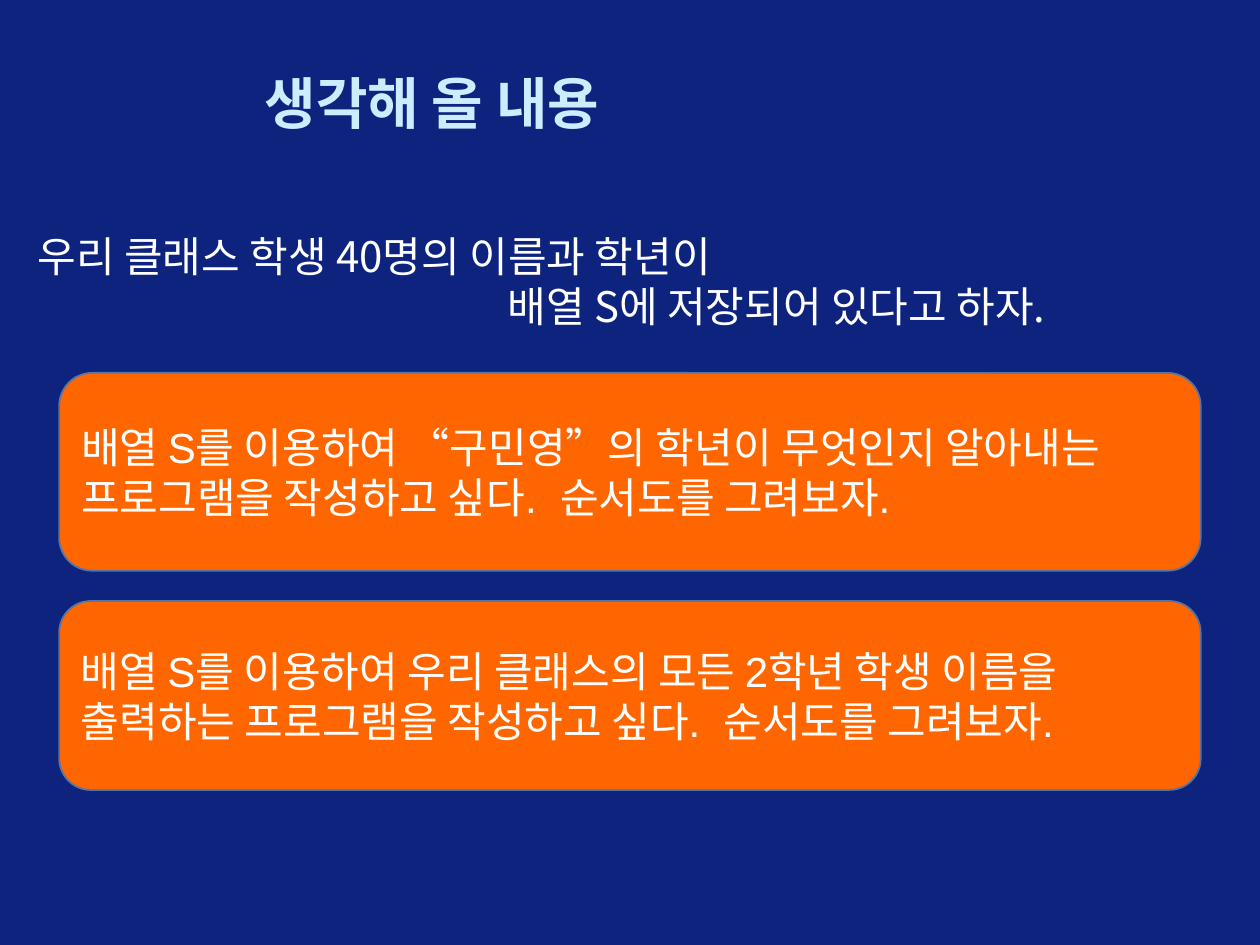
from pptx import Presentation
from pptx import util as u
from pptx.dml.color import RGBColor
from pptx.enum import shapes, text

COLORS = {
    "background": "0E237E",
    "title": "CCECFF",
    "body": "FFFFFF",
    "task": "FF6600",
    "outline": "5375A7",
}
TASKS = [
    (2.96, 1.57, "배열 S를 이용하여 “구민영”의 학년이 무엇인지 알아내는 "
                 "프로그램을 작성하고 싶다.  순서도를 그려보자."),
    (4.77, 1.5, "배열 S를 이용하여 우리 클래스의 모든 2학년 학생 이름을 "
                "출력하는 프로그램을 작성하고 싶다.  순서도를 그려보자."),
]


def color(name):
    return RGBColor.from_string(COLORS[name])


def format_text(text_frame, size, color_name, font="Arial", bold=False):
    text_frame.word_wrap = True
    text_frame.auto_size = text.MSO_AUTO_SIZE.NONE
    for paragraph in text_frame.paragraphs:
        paragraph.alignment = text.PP_ALIGN.LEFT
        for run in paragraph.runs:
            run.font.name = font
            run.font.size = u.Pt(size)
            run.font.bold = bold
            run.font.color.rgb = color(color_name)


def set_title(slide, wording):
    title = slide.shapes.title
    title.left, title.top = u.Inches(2), u.Inches(0.5)
    title.width, title.height = u.Inches(7.58), u.Inches(0.62)
    title.text_frame.text = wording
    title.text_frame.vertical_anchor = text.MSO_ANCHOR.MIDDLE
    format_text(title.text_frame, 32, "title", bold=True)


def add_premise(slide, first_line, second_line):
    box = slide.shapes.add_textbox(
        u.Inches(0.2), u.Inches(1.78), u.Inches(9.5), u.Inches(1.31))
    box.text_frame.text = first_line
    paragraph = box.text_frame.add_paragraph()
    paragraph.text = second_line
    # Indent the second line under the end of the first
    paragraph._p.get_or_add_pPr().set("marL", str(u.Inches(3.73)))
    format_text(box.text_frame, 24, "body", font="Noto Sans CJK KR")


def add_task(slide, top, height, wording):
    shape = slide.shapes.add_shape(
        shapes.MSO_SHAPE.ROUNDED_RECTANGLE,
        u.Inches(0.47), u.Inches(top), u.Inches(9.06), u.Inches(height))
    shape.shadow.inherit = False
    shape.fill.solid()
    shape.fill.fore_color.rgb = color("task")
    shape.line.color.rgb = color("outline")
    shape.line.width = u.Pt(1)
    shape.text_frame.text = wording
    shape.text_frame.vertical_anchor = text.MSO_ANCHOR.MIDDLE
    format_text(shape.text_frame, 24, "body")


def main():
    presentation = Presentation()
    presentation.slide_width = u.Inches(10)
    presentation.slide_height = u.Inches(7.5)
    slide = presentation.slides.add_slide(presentation.slide_layouts[5])
    slide.background.fill.solid()
    slide.background.fill.fore_color.rgb = color("background")

    # Heading and premise
    set_title(slide, "생각해 올 내용")
    add_premise(slide, "우리 클래스 학생 40명의 이름과 학년이",
                "배열 S에 저장되어 있다고 하자.")

    # Tasks to think about
    for top, height, wording in TASKS:
        add_task(slide, top, height, wording)

    presentation.save("out.pptx")


if __name__ == "__main__":
    main()
